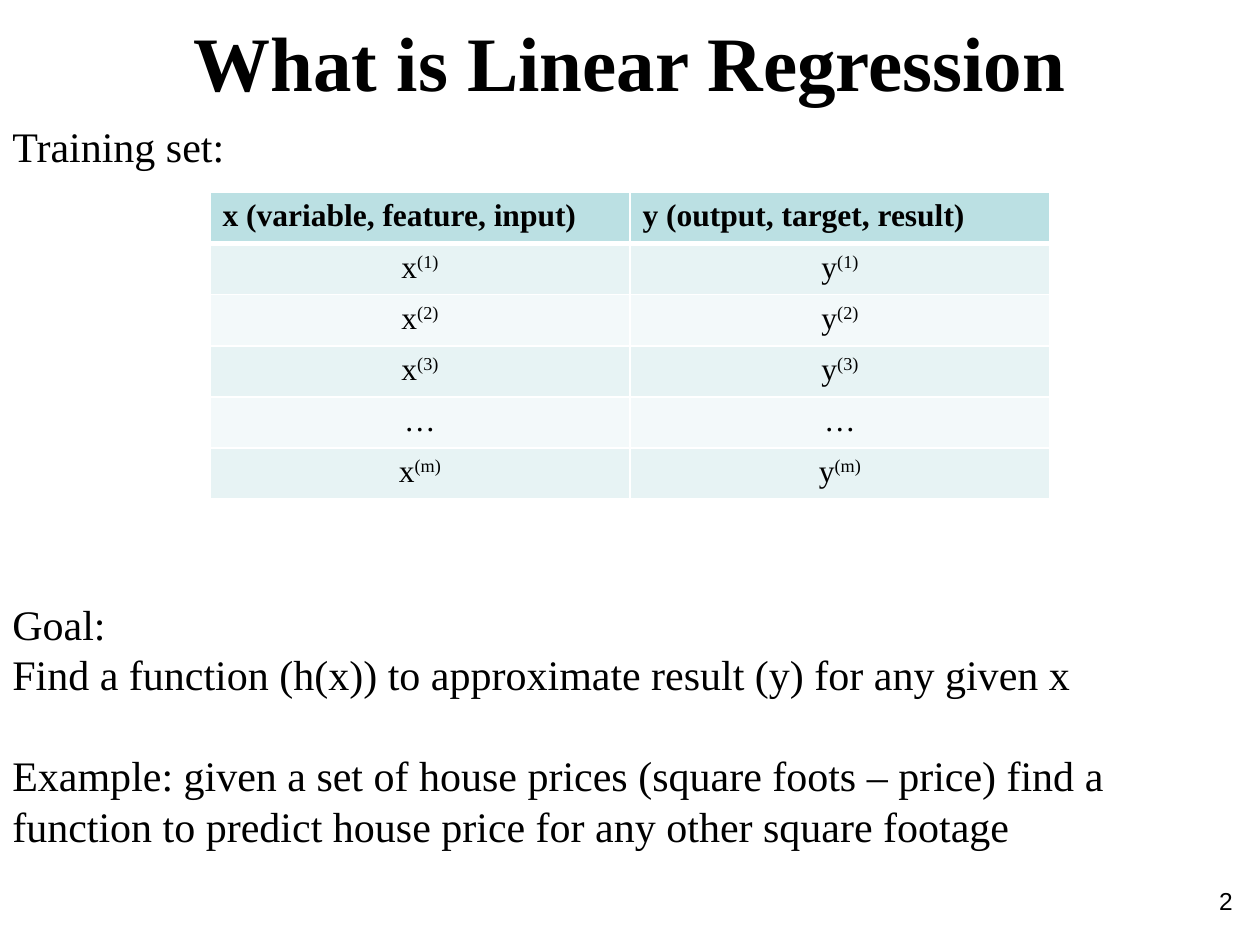
import pptx
import pptx.util
import pptx.dml.color
import pptx.enum.text
import pptx.oxml
import pptx.oxml.ns

Pt = pptx.util.Pt
Align = pptx.enum.text.PP_ALIGN
serif = "Times New Roman"


def paint(item, hue):
    if hasattr(item, "solid"):
        item.solid()
        item = item.fore_color
    item.rgb = pptx.dml.color.RGBColor.from_string(hue)


def write(box, lines, size, face=serif, align=Align.LEFT, bold=False):
    frame = box.text_frame
    frame.word_wrap = True
    frame.text = "\n".join(lines)
    for para in frame.paragraphs:
        para.alignment = align
        para.font.size = Pt(size)
        para.font.name = face
        para.font.bold = bold
        paint(para.font.color, "000000")
    return frame


deck = pptx.Presentation()
deck.slide_width, deck.slide_height = Pt(720), Pt(540)
slide = deck.slides.add_slide(deck.slide_layouts[6])
shapes = slide.shapes

title = shapes.add_textbox(Pt(0), Pt(5), Pt(720), Pt(60.5))
write(title, ["What is Linear Regression"], 44, align=Align.CENTER, bold=True)

number = shapes.add_textbox(Pt(543.5), Pt(502.5), Pt(168), Pt(37.5))
write(number, ["2"], 14, "Arial", Align.RIGHT)

heads = ["x (variable, feature, input)", "y (output, target, result)"]
marks = ["(1)", "(2)", "(3)", "", "(m)"]
high = 29.2
table = shapes.add_table(6, 2, Pt(120), Pt(110), Pt(480), Pt(6 * high)).table
for row in table.rows:
    row.height = Pt(high)

for r in range(6):
    for c in range(2):
        cell = table.cell(r, c)
        if r == 0:
            write(cell, [heads[c]], 18, bold=True)
            hue = "BBE0E3"
        else:
            mark = marks[r - 1]
            frame = write(cell, ["xy"[c] if mark else "…"], 18, align=Align.CENTER)
            if mark:
                run = frame.paragraphs[0].add_run()
                run.text = mark
                run.font._element.set("baseline", "30000")
            hue = "E7F3F4" if r % 2 else "F3F9FA"
        props = cell._tc.get_or_add_tcPr()
        for side in "LRTB":
            thick = 3 if (r, side) in [(0, "B"), (1, "T")] else 1
            props.append(pptx.oxml.parse_xml(
                f'<a:ln{side} {pptx.oxml.ns.nsdecls("a")} w="{Pt(thick)}">'
                f'<a:solidFill><a:srgbClr val="FFFFFF"/></a:solidFill></a:ln{side}>'))
        paint(cell.fill, hue)

label = shapes.add_textbox(Pt(0), Pt(65.5), Pt(236), Pt(36))
write(label, ["Training set:"], 24)

goal = shapes.add_textbox(Pt(0), Pt(338.5), Pt(720), Pt(152.5))
frame = write(goal, [
    "Goal:",
    "Find a function (h(x)) to approximate result (y) for any given x",
    "Example: given a set of house prices (square foots – price) find a "
    "function to predict house price for any other square footage",
], 24)
frame.paragraphs[2].space_before = Pt(28.8)

deck.save("out.pptx")
